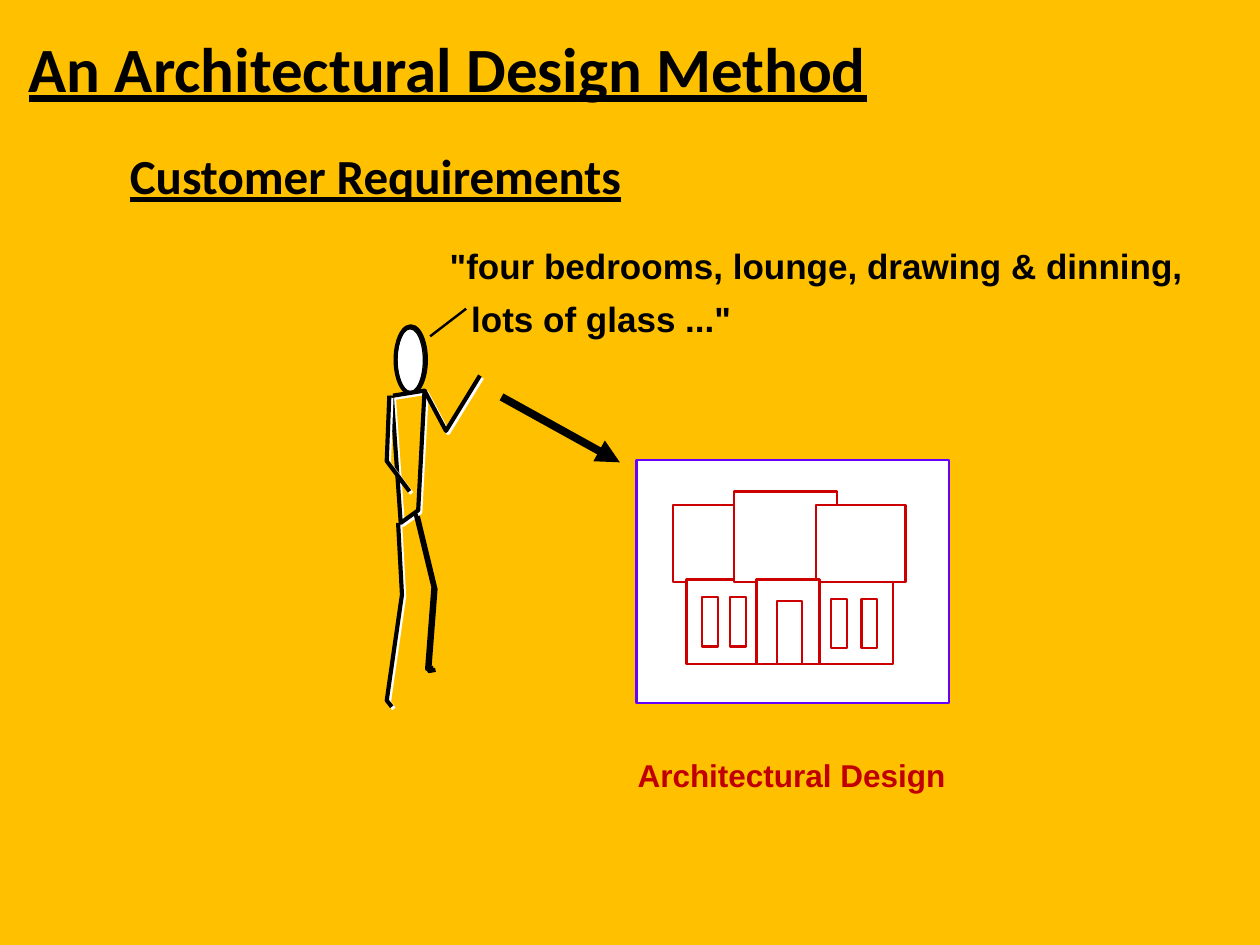
from lxml import etree
from pptx import Presentation
from pptx.dml.color import RGBColor
from pptx.enum import shapes, text
from pptx.oxml.ns import qn
from pptx.util import Pt

THEME = {
    "back": "FFC000", "ink": "000000", "paper": "FFFFFF",
    "frame": "6600FF", "house": "CC0000", "label": "C00000",
    "head": "Calibri", "body": "Arial",
    "h1": 36, "h2": 28, "quote": 20, "note": 18,
    "thin": 1.39, "limb": 2.38, "arrow": 4.5,
}

# Content: words, then left, top, width, height in points
TITLE = ("An Architectural Design Method", (11.5, 19.4, 494.6, 43.2))
HEADING = ("Customer Requirements", (74.2, 87.1, 282.2, 30.2))
QUOTES = [
    ('"four bedrooms, lounge, drawing & dinning,', (257, 142.6, 424.8, 21.6)),
    ('lots of glass ..."', (269.3, 172.8, 149, 21.6)),
]
CAPTION = ("Architectural Design", (364.3, 434.2, 176.4, 19.4))

# Customer: each limb is an echo colour and its points
SHIFT = 1.2
LIMBS = [
    ("paper", [(224.6, 226.1), (242.6, 223.2), (239, 291.6), (229, 298.8), (223.9, 226.1)]),
    ("paper", [(242.6, 223.2), (254.9, 246.2), (274.3, 214.6)]),
    ("paper", [(222.5, 226.1), (221, 263.5), (234, 280.8)]),
    ("ink", [(237.6, 293.8), (247.7, 335.5), (244.1, 382.3), (247.7, 381.6)]),
    ("paper", [(227.5, 298.8), (229.7, 339.8), (221, 400.3), (223.9, 403.9)]),
]
FACE = (226.8, 187.9, 15.1, 36)
SKULL = (226.1, 186.5, 17.3, 38.2)
SPEECH = ((245.8, 192.2), (266.4, 176.4))
ARROW = ((286.6, 226.8), (354.2, 264.2))

# House plan, back to front
PANEL = (363.6, 262.8, 178.6, 139)
WALLS = [
    (384.5, 288.7, 36, 43.9),
    (392.4, 331.2, 118.1, 48.2),
    (419.4, 280.8, 59, 51.8),
    (466.4, 288.7, 51.1, 43.9),
    (432.4, 331.2, 36, 48.2),
]
PANES = [(x, y, 9, 28.1) for x, y in
         [(401.2, 341.3), (417.2, 341.3), (475, 342.2), (492.2, 342.2)]]
DOOR = (444.2, 343.4, 14, 36)


def tint(name):
    return RGBColor.from_string(THEME[name])


def put(frame, words, font="body", size="quote", color="ink", line=False, pad=(0, 0)):
    frame.margin_left = frame.margin_right = Pt(pad[0])
    frame.margin_top = frame.margin_bottom = Pt(pad[1])
    frame.auto_size = text.MSO_AUTO_SIZE.NONE
    frame.vertical_anchor = text.MSO_ANCHOR.TOP
    frame.word_wrap = False
    para = frame.paragraphs[0]
    para.alignment = text.PP_ALIGN.LEFT
    para.line_spacing = 0.9
    run = para.add_run()
    run.text = words
    face = run.font
    face.name, face.size = THEME[font], Pt(THEME[size])
    face.bold, face.underline = True, line
    face.color.rgb = tint(color)


def label(slide, item, **form):
    words, box = item
    put(slide.shapes.add_textbox(*map(Pt, box)).text_frame, words, **form)


def style(shape, fill, color, width):
    shape.shadow.inherit = False
    if fill:
        shape.fill.solid()
        shape.fill.fore_color.rgb = tint(fill)
    else:
        shape.fill.background()
    shape.line.color.rgb = tint(color)
    shape.line.width = Pt(width)


def block(slide, box, color, fill="paper", width=THEME["thin"], kind="RECTANGLE"):
    form = slide.shapes.add_shape(shapes.MSO_SHAPE[kind], *map(Pt, box))
    style(form, fill, color, width)


def limb(slide, dots, color, shift=0):
    ends = [(Pt(x + shift), Pt(y + shift)) for x, y in dots]
    path = slide.shapes.build_freeform(*ends[0])
    path.add_line_segments(ends[1:], close=False)
    style(path.convert_to_shape(), None, color, THEME["limb"])


def link(slide, ends, width, tip=False):
    (x, y), (p, q) = ends
    line = slide.shapes.add_connector(
        shapes.MSO_CONNECTOR.STRAIGHT, Pt(x), Pt(y), Pt(p), Pt(q))
    line.line.color.rgb = tint("ink")
    line.line.width = Pt(width)
    props = line._element.spPr
    if tip:
        etree.SubElement(props.find(qn("a:ln")), qn("a:tailEnd"), type="triangle")
    etree.SubElement(props, qn("a:effectLst"))


def main():
    deck = Presentation()
    deck.slide_width, deck.slide_height = Pt(720), Pt(540)
    slide = deck.slides.add_slide(deck.slide_layouts[5])
    slide.background.fill.solid()
    slide.background.fill.fore_color.rgb = tint("back")

    # Title and words
    words, box = TITLE
    title = slide.shapes.title
    title.left, title.top, title.width, title.height = map(Pt, box)
    put(title.text_frame, words, font="head", size="h1", line=True, pad=(5, 2.2))
    label(slide, HEADING, font="head", size="h2", line=True)
    for quote in QUOTES:
        label(slide, quote)

    # Customer
    block(slide, FACE, "ink", width=0.75, kind="OVAL")
    block(slide, SKULL, "ink", fill=None, width=THEME["limb"], kind="OVAL")
    for echo, dots in LIMBS:
        limb(slide, dots, echo, SHIFT)
        limb(slide, dots, "ink")
    link(slide, SPEECH, THEME["thin"])

    # House plan
    block(slide, PANEL, "frame")
    for part in WALLS + PANES + [DOOR]:
        block(slide, part, "house")
    label(slide, CAPTION, size="note", color="label")
    link(slide, ARROW, THEME["arrow"], tip=True)

    deck.save("out.pptx")


if __name__ == "__main__":
    main()
